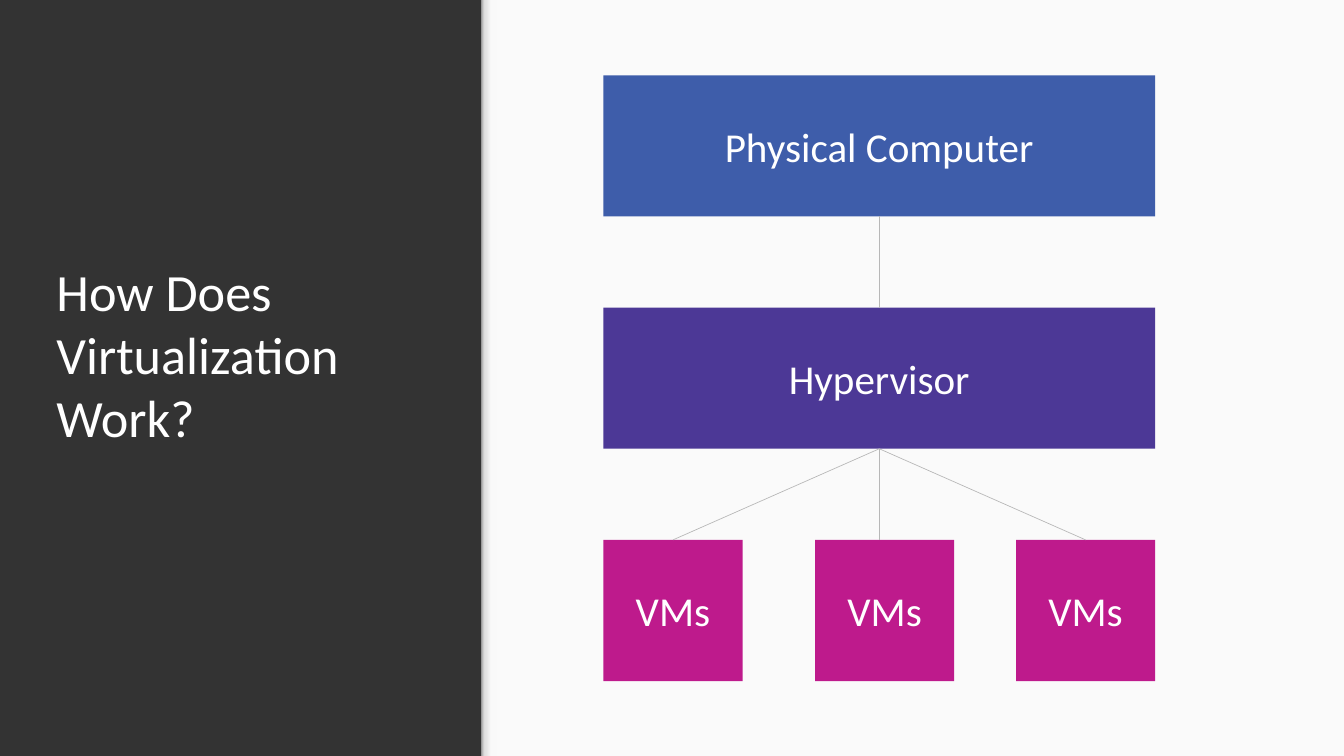
from lxml import etree
from pptx import Presentation
from pptx.dml.color import RGBColor
from pptx.enum.shapes import MSO_CONNECTOR, MSO_SHAPE
from pptx.enum.text import MSO_ANCHOR, MSO_AUTO_SIZE, PP_ALIGN
from pptx.oxml.ns import qn
from pptx.util import Inches, Pt

RECT, STRAIGHT = MSO_SHAPE.RECTANGLE, MSO_CONNECTOR.STRAIGHT
BOTTOM, MIDDLE = MSO_ANCHOR.BOTTOM, MSO_ANCHOR.MIDDLE
LEFT, CENTER = PP_ALIGN.LEFT, PP_ALIGN.CENTER
TOP_SITE, BOTTOM_SITE = 0, 2

W, H = 20, 809.6 / 72  # inches; the height is 809.6 points
SPLIT = 7.17  # left edge of the light panel
COLORS = {
    "dark": "333333", "panel": "FAFAFA", "white": "FFFFFF", "line": "B7B7B7",
    "computer": "3E5DAA", "hypervisor": "4C3896", "vm": "BE1A8C",
}
SHADE = [(0, "F9F9F9"), (36, "F9F9F9"), (80, "DEDEDE"), (100, "999999")]


def rgb(name):
    return RGBColor.from_string(COLORS[name])


def set_text(shape, text, size, align, anchor):
    tf = shape.text_frame
    frame = {"word_wrap": True, "auto_size": MSO_AUTO_SIZE.NONE,
             "vertical_anchor": anchor}
    frame.update({f"margin_{side}": Inches(0.2)
                  for side in ("left", "top", "right", "bottom")})
    for name, value in frame.items():
        setattr(tf, name, value)
    p = tf.paragraphs[0]
    p.alignment = align
    r = p.add_run()
    r.text = text
    for name, value in {"name": "Calibri", "size": Pt(size)}.items():
        setattr(r.font, name, value)
    r.font.color.rgb = rgb("white")


def add_rect(s, box, color=None):
    sp = s.shapes.add_shape(RECT, *map(Inches, box))
    sp.shadow.inherit = False
    sp.line.fill.background()
    if color:
        sp.fill.solid()
        sp.fill.fore_color.rgb = rgb(color)
    return sp


def add_node(s, box, text, color):
    sp = add_rect(s, box, color)
    set_text(sp, text, 44, CENTER, MIDDLE)
    return sp


def add_link(s, start, end=None):
    """Line from the bottom of start to the top of end, if one is given."""
    line = s.shapes.add_connector(STRAIGHT, 0, 0, 0, 0)
    line.begin_connect(start, BOTTOM_SITE)
    if end is not None:
        line.end_connect(end, TOP_SITE)
    line.line.color.rgb = rgb("line")
    line.line.width = Pt(0.75)
    etree.SubElement(line._element.spPr, qn("a:effectLst"))
    return line


def add_panel(s, box):
    """Light panel with a shaded strip down its left edge."""
    x, y, w, h = box
    add_rect(s, box, "panel")
    depth = 0.24
    center = x + depth / 2 - 0.01
    strip = add_rect(s, (center - h / 2, y + (h - depth) / 2, h, depth))
    strip.rotation = 270
    strip.fill.gradient()
    strip.fill.gradient_angle = 90
    stops = strip._element.spPr.find(".//" + qn("a:gsLst"))
    for stop in list(stops):
        stops.remove(stop)
    for pos, color in SHADE:
        stop = etree.SubElement(stops, qn("a:gs"), pos=str(pos * 1000))
        etree.SubElement(stop, qn("a:srgbClr"), val=color)


def add_title(s, box):
    title = s.shapes.title
    for name, value in zip(("left", "top", "width", "height"), box):
        setattr(title, name, Inches(value))
    set_text(title, "How Does Virtualization Work?", 56, LEFT, BOTTOM)
    # keep the title in front of the panel
    s.shapes._spTree.append(title._element)


def add_diagram(s, box):
    x, y, w, h = box
    row_h = 2.1
    rows = [y + i * (h - row_h) / 2 for i in range(3)]
    vm_w = 2.07
    vm_lefts = (x, x + 3.15, x + w - vm_w)

    computer = add_node(s, (x, rows[0], w, row_h), "Physical Computer", "computer")
    hypervisor = add_node(s, (x, rows[1], w, row_h), "Hypervisor", "hypervisor")
    vms = [add_node(s, (left, rows[2], vm_w, row_h), "VMs", "vm")
           for left in vm_lefts]

    add_link(s, computer, hypervisor)
    add_link(s, hypervisor, vms[0])
    add_link(s, hypervisor, vms[2])
    # the middle line drops straight down, a little left of the VM's center
    drop = add_link(s, hypervisor)
    drop.end_x, drop.end_y = drop.begin_x, vms[1].top


def main():
    prs = Presentation()
    prs.slide_width, prs.slide_height = Inches(W), Inches(H)
    s = prs.slides.add_slide(prs.slide_layouts[5])
    s.background.fill.solid()
    s.background.fill.fore_color.rgb = rgb("dark")
    add_panel(s, (SPLIT, 0, W - SPLIT, H))
    add_title(s, (0.64, 4.78, 6.14, 2.08))
    add_diagram(s, (8.98, 1.12, 8.21, 9.01))
    prs.save("out.pptx")


if __name__ == "__main__":
    main()
